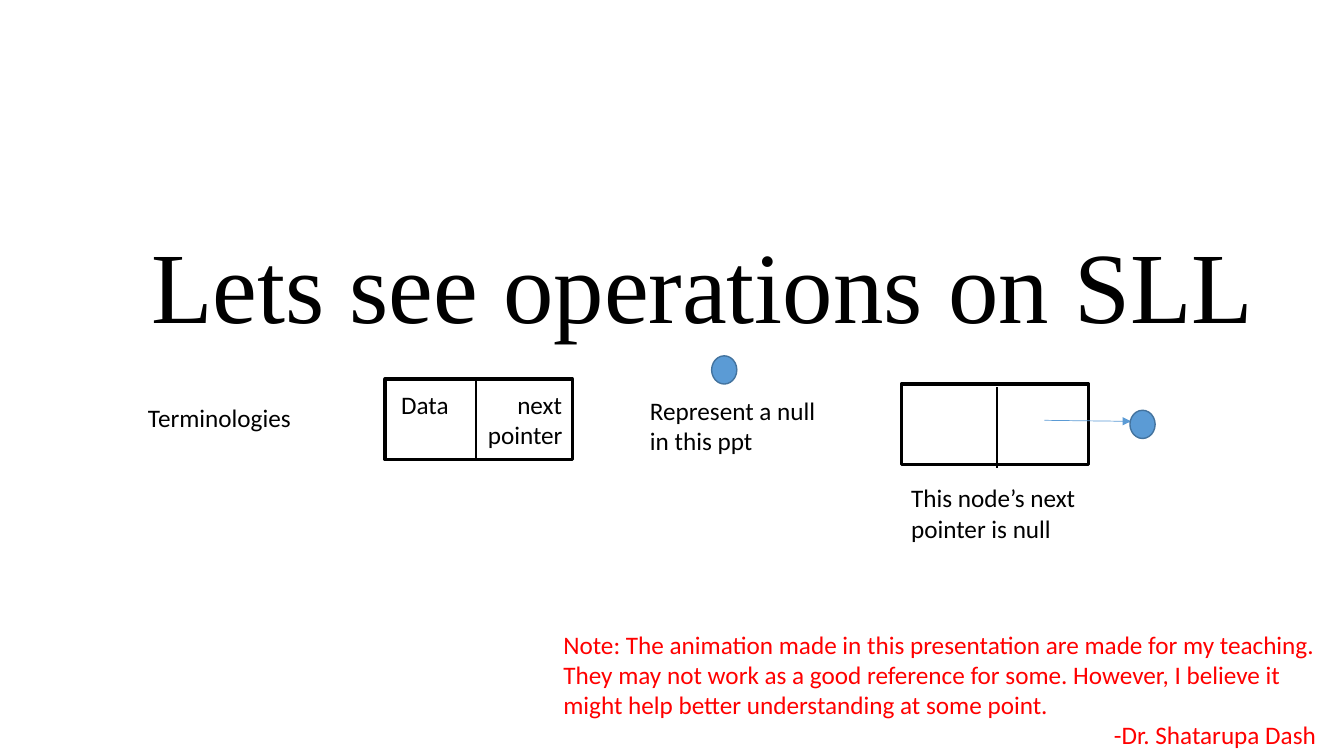
from lxml import etree
from pptx import Presentation
from pptx.dml.color import RGBColor
from pptx.enum.shapes import MSO_CONNECTOR, MSO_SHAPE
from pptx.enum.text import MSO_ANCHOR, MSO_AUTO_SIZE, PP_ALIGN
from pptx.oxml.ns import qn
from pptx.util import Pt

LEFT, CENTER, RIGHT = PP_ALIGN.LEFT, PP_ALIGN.CENTER, PP_ALIGN.RIGHT
MIDDLE = MSO_ANCHOR.MIDDLE
RECTANGLE, OVAL = MSO_SHAPE.RECTANGLE, MSO_SHAPE.OVAL
STRAIGHT = MSO_CONNECTOR.STRAIGHT
FIT_SHAPE, NO_FIT = MSO_AUTO_SIZE.SHAPE_TO_FIT_TEXT, MSO_AUTO_SIZE.NONE

BLACK, WHITE, RED = "000000", "FFFFFF", "FF0000"
BLUE, DARK_BLUE = "5B9BD5", "43739E"

TITLE = "Lets see operations on SLL"
TITLE_AREA = (87.84, 155.52, 828, 104.4)

NODE_SIZE = (133.92, 57.6)
LABELLED_NODE = (275.04, 270.72)
LAST_NODE = (643.68, 274.32)
NODE_LABELS = [("Data\tnext", LEFT), ("pointer", RIGHT)]
NODE_INSET, NEXT_TAB = 11.5, 115

NULL_SIZE = (18, 20.16)
NULL_DOTS = [(807.12, 293.04), (508.32, 254.16)]

# text paragraphs with alignment, area, colour, wrap
LABELS = [
    ([("Represent a null in this ppt", LEFT)], (457.2, 278.64, 144.72, 51.12), BLACK, True),
    ([("This node’s next pointer is null", LEFT)], (643.68, 341.28, 144.72, 51.12), BLACK, True),
    ([("Terminologies", LEFT)], (98.64, 283.68, 117.36, 28.8), BLACK, False),
    ([("Note: The animation made in this presentation are made for my teaching. "
       "They may not work as a good reference for some. However, I believe it "
       "might help better understanding at some point.", LEFT),
      ("-Dr. Shatarupa Dash ", RIGHT)], (395.28, 445.68, 555.84, 94.32), RED, True),
]


def points(values):
    return [Pt(value) for value in values]


def color(hex_code):
    return RGBColor.from_string(hex_code)


def format_para(para, align, size, font_name, hex_code):
    para.alignment = align
    para.font.size = Pt(size)
    para.font.name = font_name
    para.font.color.rgb = color(hex_code)


def write_lines(frame, lines, hex_code):
    for index, (text, align) in enumerate(lines):
        para = frame.paragraphs[0] if index == 0 else frame.add_paragraph()
        para.text = text
        if "\t" in text:
            tabs = etree.SubElement(para._p.get_or_add_pPr(), qn("a:tabLst"))
            etree.SubElement(tabs, qn("a:tab"), pos=str(Pt(NEXT_TAB)), algn="r")
        format_para(para, align, 18, "Calibri", hex_code)


def add_outlined(shapes, kind, corner, size, fill, line, width):
    shape = shapes.add_shape(kind, *points(corner + size))
    shape.shadow.inherit = False
    shape.fill.solid()
    shape.fill.fore_color.rgb = color(fill)
    shape.line.color.rgb = color(line)
    shape.line.width = Pt(width)
    return shape


def add_line(shapes, start, end, hex_code, width, arrow=False):
    line = shapes.add_connector(STRAIGHT, *points(start + end))
    line.line.color.rgb = color(hex_code)
    line.line.width = Pt(width)
    if arrow:
        etree.SubElement(line.line._get_or_add_ln(), qn("a:tailEnd"), type="triangle")
    etree.SubElement(line._element.spPr, qn("a:effectLst"))


def add_node(shapes, corner):
    return add_outlined(shapes, RECTANGLE, corner, NODE_SIZE, WHITE, BLACK, 2.25)


def add_divider(shapes, x, top):
    add_line(shapes, (x, top), (x, top + NODE_SIZE[1]), BLACK, 1.5)


def add_label(shapes, lines, area, hex_code, wrap):
    frame = shapes.add_textbox(*points(area)).text_frame
    frame.word_wrap = wrap
    frame.auto_size = FIT_SHAPE
    write_lines(frame, lines, hex_code)


def main():
    deck = Presentation()
    deck.slide_width, deck.slide_height = Pt(960), Pt(540)
    page = deck.slides.add_slide(deck.slide_layouts[5])
    shapes = page.shapes

    title = shapes.title
    title.left, title.top, title.width, title.height = points(TITLE_AREA)
    title.text_frame.text = TITLE
    title.text_frame.auto_size = NO_FIT
    title.text_frame.vertical_anchor = MIDDLE
    heading = title.text_frame.paragraphs[0]
    heading.line_spacing = 0.9
    format_para(heading, CENTER, 72, "Times New Roman", BLACK)

    add_node(shapes, LAST_NODE)
    add_line(shapes, (745.92, 300.24), (807.84, 300.96), BLUE, 0.5, arrow=True)
    for corner in NULL_DOTS:
        add_outlined(shapes, OVAL, corner, NULL_SIZE, BLUE, DARK_BLUE, 1)

    group = shapes.add_group_shape().shapes
    frame = add_node(group, LABELLED_NODE).text_frame
    frame.margin_left = Pt(NODE_INSET)
    frame.vertical_anchor = MIDDLE
    write_lines(frame, NODE_LABELS, BLACK)
    add_divider(group, 339.84, LABELLED_NODE[1])
    add_divider(shapes, 712.08, 276.48)

    for label in LABELS:
        add_label(shapes, *label)

    deck.save("out.pptx")


if __name__ == "__main__":
    main()
